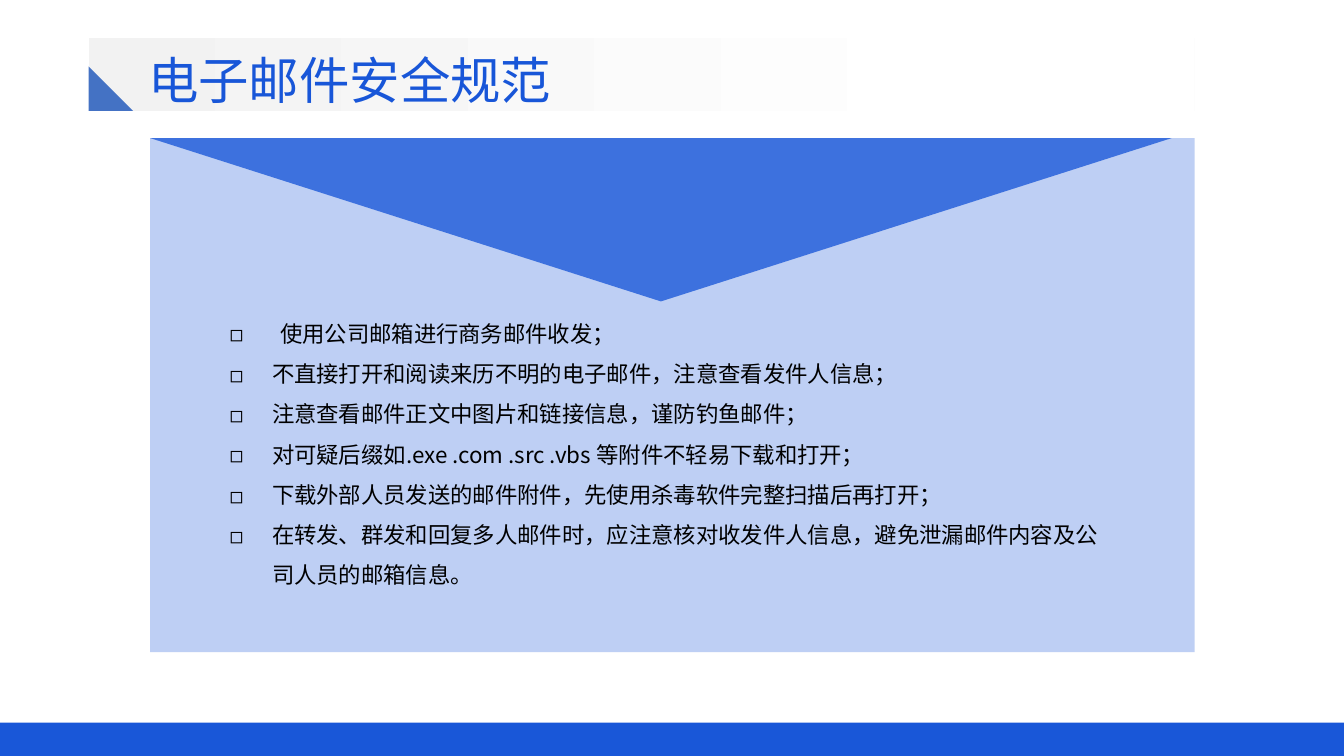
import pptx
import pptx.dml.color
import pptx.enum.shapes
import pptx.oxml.ns
import pptx.util
from lxml import etree

Inches = pptx.util.Inches
RGBColor = pptx.dml.color.RGBColor
Preset = pptx.enum.shapes.MSO_SHAPE
qn = pptx.oxml.ns.qn

FONT = "Noto Sans CJK SC"
BRAND = RGBColor(0x00, 0x45, 0xD4)
TITLE_BLUE = RGBColor(0x18, 0x56, 0xD8)
CORNER_BLUE = RGBColor(0x44, 0x72, 0xC4)
PALE_GREY = RGBColor(0xF2, 0xF2, 0xF2)
WHITE = RGBColor(0xFF, 0xFF, 0xFF)
BLACK = RGBColor(0x00, 0x00, 0x00)

TITLE = "电子邮件安全规范"
RULES = [
    "使用公司邮箱进行商务邮件收发；",
    "不直接打开和阅读来历不明的电子邮件，注意查看发件人信息；",
    "注意查看邮件正文中图片和链接信息，谨防钓鱼邮件；",
    "对可疑后缀如.exe .com .src .vbs 等附件不轻易下载和打开；",
    "下载外部人员发送的邮件附件，先使用杀毒软件完整扫描后再打开；",
    "在转发、群发和回复多人邮件时，应注意核对收发件人信息，避免泄漏邮件内容及公司人员的邮箱信息。",
]


def add_block(slide, preset, left, top, width, height, color, opacity=100):
    """Add a borderless shape with a solid fill of the given opacity in percent."""
    shape = slide.shapes.add_shape(
        preset, Inches(left), Inches(top), Inches(width), Inches(height))
    shape.shadow.inherit = False
    shape.line.fill.background()
    shape.fill.solid()
    shape.fill.fore_color.rgb = color
    if opacity < 100:
        color_element = shape.fill._xPr.find(".//" + qn("a:srgbClr"))
        etree.SubElement(color_element, qn("a:alpha"), val=str(opacity * 1000))
    return shape


def add_text_frame(slide, left, top, width, height):
    """Add a wrapping text box and return its text frame."""
    text_box = slide.shapes.add_textbox(
        Inches(left), Inches(top), Inches(width), Inches(height))
    text_box.text_frame.word_wrap = True
    return text_box.text_frame


def style_paragraph(paragraph, size, color):
    """Set the size, colour and typeface of a paragraph for Latin and Chinese text."""
    paragraph.font.size = pptx.util.Pt(size)
    paragraph.font.color.rgb = color
    paragraph.font.name = FONT
    latin = paragraph.font._element.find(qn("a:latin"))
    latin.addnext(latin.makeelement(qn("a:ea"), {"typeface": FONT}))


def add_bullet(paragraph, indent):
    """Give a paragraph a square bullet with a hanging indent in inches."""
    properties = paragraph._p.get_or_add_pPr()
    properties.set("marL", str(Inches(indent)))
    properties.set("indent", str(-Inches(indent)))
    etree.SubElement(properties, qn("a:buFont"), typeface=FONT)
    etree.SubElement(properties, qn("a:buChar"), char="◻")


def add_title(slide, left, top, width, height):
    """Draw the fading title band with its corner triangle and heading."""
    band = add_block(slide, Preset.RECTANGLE, left, top, width, height, PALE_GREY)
    band.fill.gradient()
    band.fill.gradient_angle = 0
    for stop, position, color in zip(
            band.fill.gradient_stops, (0, 0.8), (PALE_GREY, WHITE)):
        stop.position = position
        stop.color.rgb = color
    paragraph = add_text_frame(
        slide, left + 0.49, top + 0.06, 8.18, 0.71).paragraphs[0]
    paragraph.text = TITLE
    style_paragraph(paragraph, 36, TITLE_BLUE)
    corner = 0.44
    add_block(slide, Preset.RIGHT_TRIANGLE, left, top + height - corner,
              corner, corner, CORNER_BLUE)


def add_envelope(slide, left, top, width, height):
    """Draw the envelope with its flap and the list of rules."""
    flap_height = 1.62
    add_block(slide, Preset.RECTANGLE, left, top, width, height, TITLE_BLUE, 28)
    flap = add_block(slide, Preset.ISOSCELES_TRIANGLE, left, top,
                     width - 0.23, flap_height, BRAND, 68)
    flap.rotation = 180
    text_frame = add_text_frame(slide, left + 0.69, top + flap_height, 8.86, 3.28)
    for index, rule in enumerate(RULES):
        paragraph = text_frame.paragraphs[0] if index == 0 else text_frame.add_paragraph()
        paragraph.text = rule
        paragraph.line_spacing = 1.5
        add_bullet(paragraph, 0.5 if index == 0 else 0.42)
        style_paragraph(paragraph, 16, BLACK)


def main():
    """Build the slide and save the presentation."""
    presentation = pptx.Presentation()
    presentation.slide_width = Inches(13.33)
    presentation.slide_height = Inches(7.5)
    slide = presentation.slides.add_slide(presentation.slide_layouts[6])
    add_block(slide, Preset.RECTANGLE, 0, 7.17, 13.33, 0.33, BRAND, 90)
    add_title(slide, 0.88, 0.38, 10.97, 0.72)
    add_envelope(slide, 1.49, 1.37, 10.36, 5.1)
    presentation.save("out.pptx")


if __name__ == "__main__":
    main()
